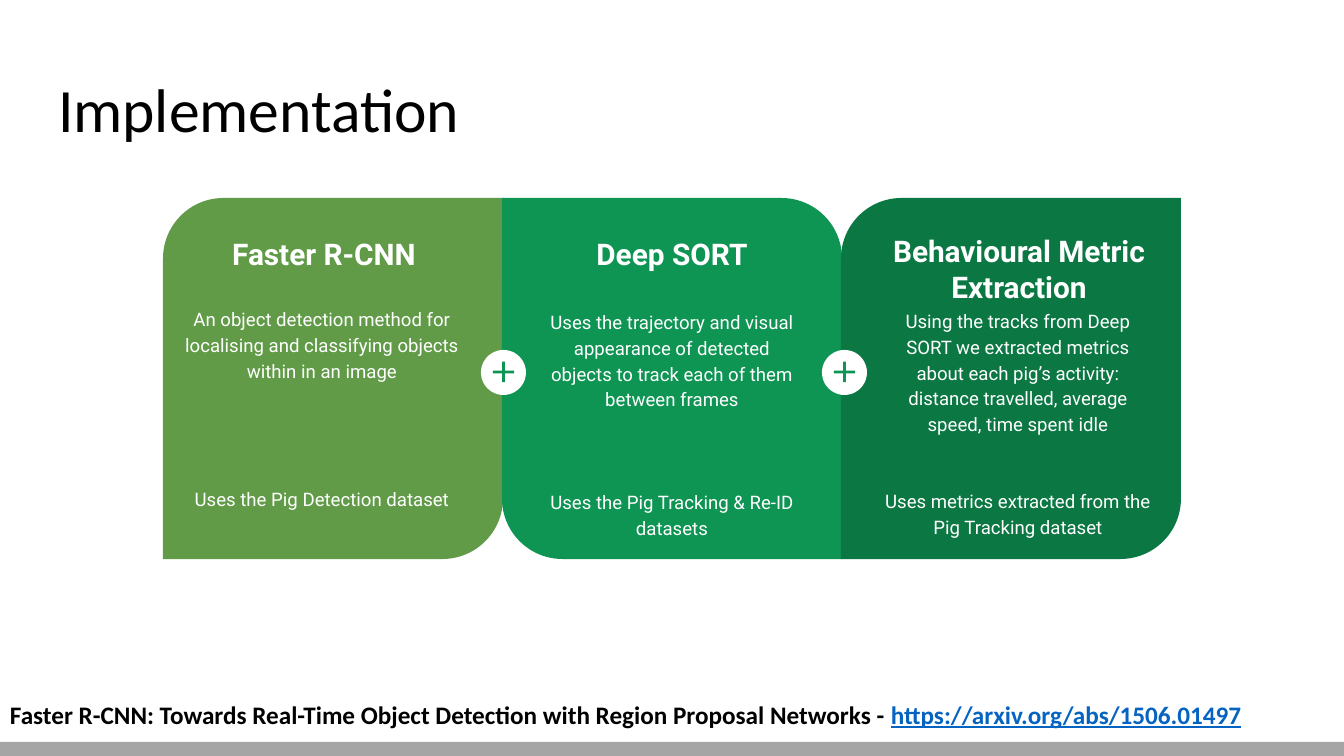
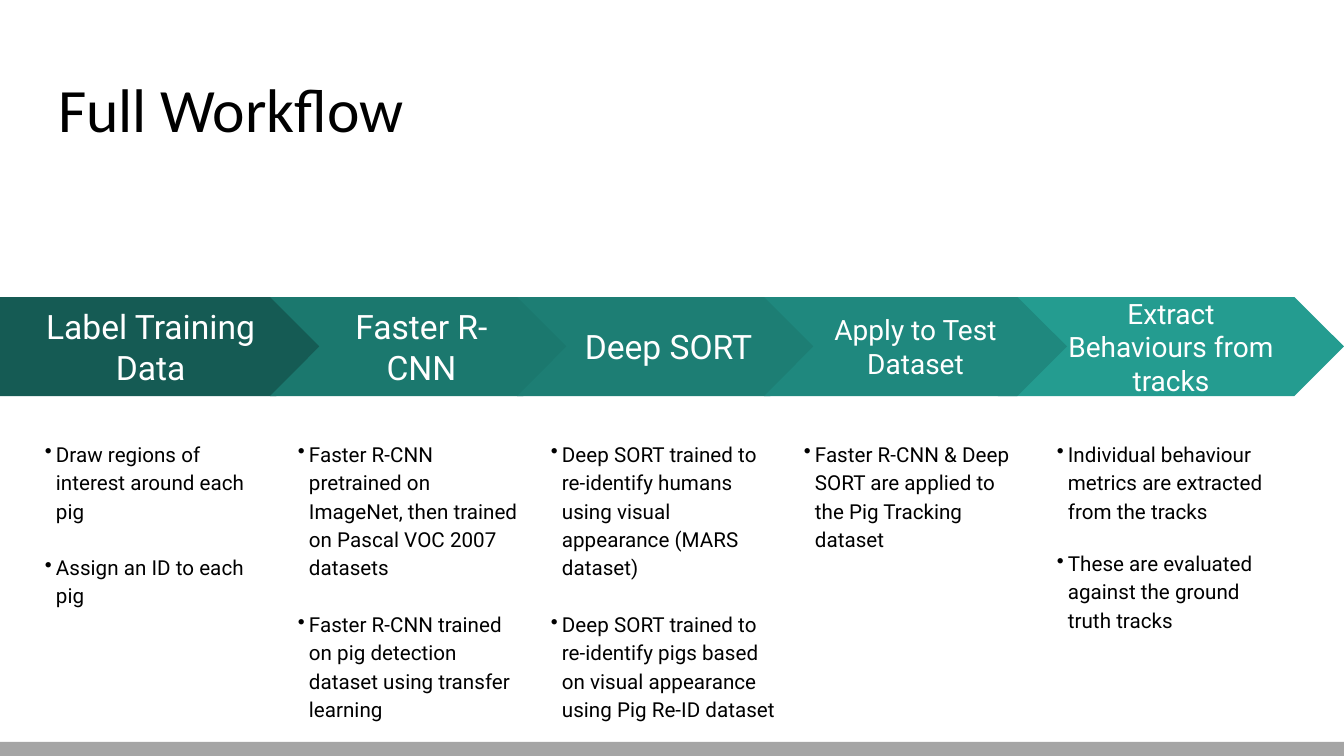
"""Build the two slides on the pig tracking implementation and workflow."""
from dataclasses import dataclass

from lxml.etree import SubElement
from pptx import Presentation
from pptx.dml.color import RGBColor
from pptx.enum.shapes import MSO_SHAPE
from pptx.enum.text import MSO_ANCHOR, PP_ALIGN
from pptx.oxml.ns import qn
from pptx.util import Emu, Pt


@dataclass(frozen=True)
class Theme:
    black: str = "000000"
    white: str = "FFFFFF"
    grey: str = "A5A5A5"
    link: str = "0563C1"
    cards: tuple = ("619B48", "0E9453", "0B7743")
    steps: tuple = ("155B54", "1B786E", "1D7E74", "1F887E", "249C90")
    heading: str = "Calibri"
    body: str = "Roboto"
    title: float = 44
    citation: float = 18
    card_title: float = 21.3
    card_text: float = 13.3
    step: float = 24
    small_step: float = 20
    bullet: float = 14.7


T = Theme()
PX = 914400 / 100.8
INSET = 13
HANG = 11


def px(*values):
    return [Emu(round(v * PX)) for v in values]


def write(sp, paras, color, font, gap=0, insets=(INSET,) * 4, anchor=MSO_ANCHOR.TOP, **para):
    tf = sp.text_frame
    tf.word_wrap = True
    tf.vertical_anchor = anchor
    for side, value in zip(("left", "top", "right", "bottom"), px(*insets)):
        setattr(tf, f"margin_{side}", value)
    for i, text in enumerate(paras):
        p = tf.add_paragraph() if i else tf.paragraphs[0]
        p.text = text
        if i:
            p.space_before = Pt(gap)
        for name, value in para.items():
            setattr(p, name, value)
        for r in p.runs:
            r.font.color.rgb = RGBColor.from_string(color)
            for name, value in font.items():
                setattr(r.font, name, value)
    return tf


def draw(s, kind, box, color, *adjustments):
    sp = s.shapes.add_shape(kind, *px(*box))
    sp.shadow.inherit = False
    sp.fill.solid()
    sp.fill.fore_color.rgb = RGBColor.from_string(color)
    sp.line.fill.background()
    for i, value in enumerate(adjustments):
        sp.adjustments[i] = value
    return sp


prs = Presentation()
prs.slide_width, prs.slide_height = px(1344, 756)
layout = prs.slide_layouts[5]
slides = []
for title in ("Implementation", "Full Workflow"):
    s = prs.slides.add_slide(layout)
    sp = s.shapes.title
    sp.left, sp.top, sp.width, sp.height = px(45, 66, 1252, 104)
    write(sp, [title], T.black, {"name": T.heading, "size": Pt(T.title)},
          alignment=PP_ALIGN.LEFT, line_spacing=0.9)
    slides.append(s)

band = draw(slides[0], MSO_SHAPE.RECTANGLE, (0, 742, 1344, 14), T.grey)
layout.shapes.element.append(band.element)

s = slides[0]
cards = [
    ("Faster R-CNN", (197, 223, 254, 106), (163, 292, 318, 256), (0.178, 0), 73.4,
     ["An object detection method for localising and classifying objects within in an image",
      "Uses the Pig Detection dataset"]),
    ("Deep SORT", (545, 223, 254, 106), (533, 295, 278, 264), (0, 0.178), 55,
     ["Uses the trajectory and visual appearance of detected objects to track each of them between frames",
      "Uses the Pig Tracking & Re-ID datasets"]),
    ("Behavioural Metric Extraction", (856, 220, 326, 136), (869, 294, 298, 230), (0.178, 0), 36.7,
     ["Using the tracks from Deep SORT we extracted metrics about each pig’s activity: "
      "distance travelled, average speed, time spent idle",
      "Uses metrics extracted from the Pig Tracking dataset"]),
]
for i, (name, title_box, text_box, corners, gap, paras) in enumerate(cards):
    draw(s, MSO_SHAPE.ROUND_2_DIAG_RECTANGLE, (163 + 339 * i, 198, 340, 361), T.cards[i], *corners)
    write(s.shapes.add_textbox(*px(*title_box)), [name], T.white,
          {"name": T.body, "size": Pt(T.card_title), "bold": True}, alignment=PP_ALIGN.CENTER)
    write(s.shapes.add_textbox(*px(*text_box)), paras, T.white,
          {"name": T.body, "size": Pt(T.card_text)}, gap,
          alignment=PP_ALIGN.CENTER, line_spacing=1.15)
for x in (481, 822):
    draw(s, MSO_SHAPE.OVAL, (x, 350, 45, 45), T.white)
    draw(s, MSO_SHAPE.MATH_PLUS, (x + 8, 358, 29, 28), T.cards[1], 0.099)

fmt = {"name": T.heading, "size": Pt(T.citation), "bold": True}
tf = write(s.shapes.add_textbox(*px(0, 694, 1288, 40)),
           ["Faster R-CNN: Towards Real-Time Object Detection with Region Proposal Networks - "],
           T.black, fmt, insets=(10, 5, 10, 5))
r = tf.paragraphs[0].add_run()
r.text = "https://arxiv.org/abs/1506.01497"
r.font.color.rgb = RGBColor.from_string(T.link)
for name, value in {**fmt, "underline": True}.items():
    setattr(r.font, name, value)

s = slides[1]
steps = [
    ("Label Training\vData", 0, 326, T.step, 239, 20,
     ["Draw regions of interest around each pig", "Assign an ID to each pig"]),
    ("Faster R-CNN", 270, 303, T.step, 239, 20,
     ["Faster R-CNN pretrained on ImageNet, then trained on Pascal VOC 2007 datasets",
      "Faster R-CNN trained on pig detection dataset using transfer learning"]),
    ("Deep SORT", 517, 303, T.step, 247, 20,
     ["Deep SORT trained to re-identify humans using visual appearance (MARS dataset)",
      "Deep SORT trained to re-identify pigs based on visual appearance using Pig Re-ID dataset"]),
    ("Apply to Test Dataset", 764, 303, T.small_step, 239, 20,
     ["Faster R-CNN & Deep SORT are applied to the Pig Tracking dataset"]),
    ("Extract Behaviours from tracks", 998, 346, T.small_step, 239, 17,
     ["Individual behaviour metrics are extracted from the tracks",
      "These are evaluated against the ground truth tracks"]),
]
for i in (0, 1, 2, 4, 3):
    name, x, width, size, column, gap, bullets = steps[i]
    kind = MSO_SHAPE.CHEVRON if i else MSO_SHAPE.PENTAGON
    sp = draw(s, kind, (x, 297, width, 99), T.steps[i], 0.5)
    write(sp, [name], T.white, {"name": T.body, "size": Pt(size)},
          anchor=MSO_ANCHOR.MIDDLE, alignment=PP_ALIGN.CENTER)
    sp = s.shapes.add_textbox(*px(43 + 253 * i, 425, column, 330))
    tf = write(sp, bullets, T.black, {"name": T.body, "size": Pt(T.bullet)}, gap,
               (INSET - HANG, INSET, INSET, INSET), line_spacing=1.15)
    hang = px(HANG)[0]
    for p in tf.paragraphs:
        pPr = p._p.get_or_add_pPr()
        pPr.set("marL", str(hang))
        pPr.set("indent", str(-hang))
        SubElement(pPr, qn("a:buChar")).set("char", "•")

prs.save("out.pptx")
